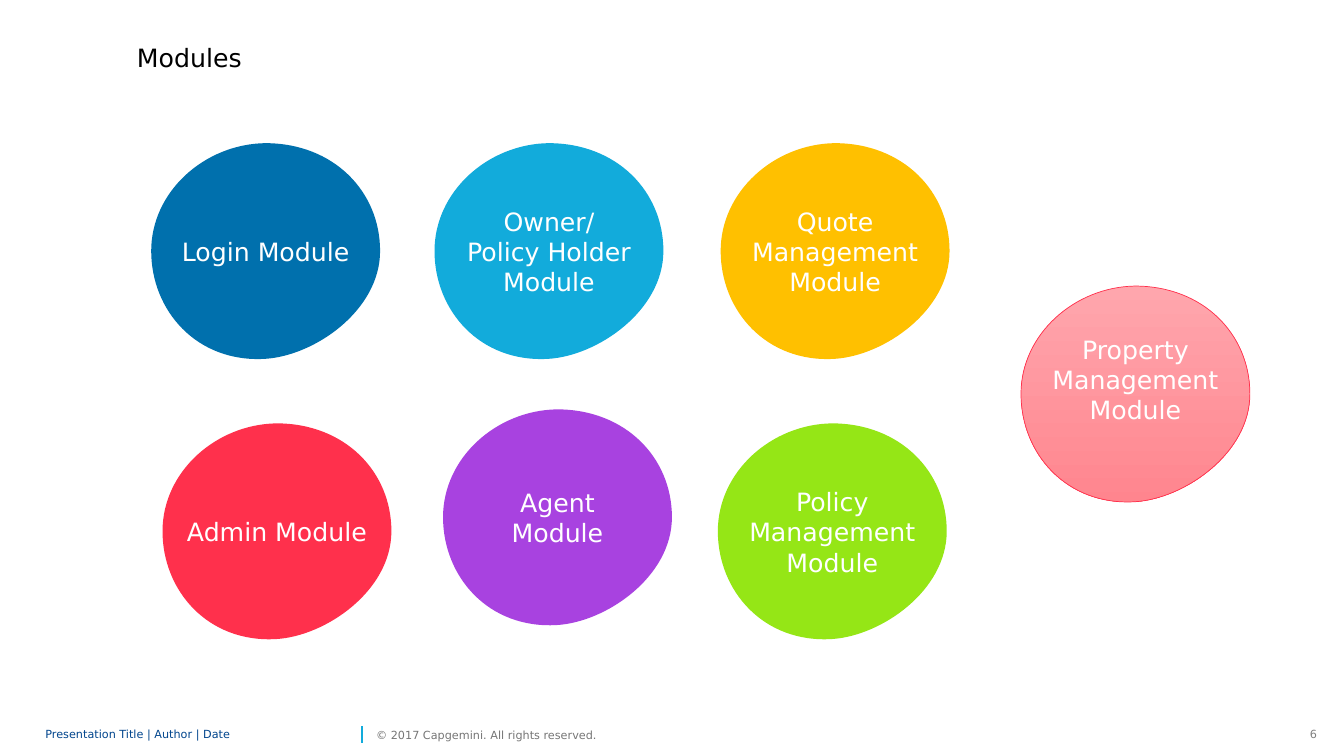
import dataclasses

import pptx
import pptx.dml.color
import pptx.enum.shapes
import pptx.enum.text
import pptx.oxml
import pptx.oxml.ns
import pptx.util

ALIGN = pptx.enum.text.PP_ALIGN
ANCHOR = pptx.enum.text.MSO_ANCHOR
Inches = pptx.util.Inches

WIDTH, HEIGHT = 13.33, 7.5

# The module grid: first corner and the step to the next column and row
GRID_LEFT, GRID_TOP = 1.5, 1.42
COLUMN, ROW = 2.81, 2.78

# Start of the blob outline, then three control points for each curve
BLOB_START = (0, 1.07)
BLOB_CURVES = [
    (0, 0.48), (0.53, 0.01), (1.13, 0),
    (1.81, 0), (2.27, 0.48), (2.27, 1.07),
    (2.27, 1.66), (1.62, 2.11), (1.13, 2.14),
    (0.45, 2.18), (0, 1.66), (0, 1.07),
]


@dataclasses.dataclass(frozen=True)
class Theme:
    font: str = "DejaVu Sans"
    body_size: int = 18
    footer_size: int = 8
    title: str = "000000"
    label: str = "FFFFFF"
    footer: str = "00458D"
    copyright: str = "767676"
    number: str = "808080"
    divider: str = "12ABDB"
    property_fill: tuple = ("FFA6AD", "FF858E")
    property_line: str = "FF304C"


THEME = Theme()

# Column, row, fill colour, text
MODULES = [
    (0, 0, "0070AD", "Login Module"),
    (1, 0, "12ABDB", "Owner/\nPolicy Holder Module"),
    (2.01, 0, "FFC000", "Quote Management Module"),
    (0.04, 1, "FF304C", "Admin Module"),
    (1.03, 0.95, "A842E0", "Agent\nModule"),
    (2, 1, "95E616", "Policy\nManagement Module"),
]


def rgb(value):
    return pptx.dml.color.RGBColor.from_string(value)


def across(percent):
    return Inches(WIDTH * percent / 100)


def down(percent):
    return Inches(HEIGHT * percent / 100)


def write_text(frame, text, *, size, color, align=ALIGN.LEFT, anchor=ANCHOR.TOP,
               wrap=True, spacing=None, insets=(0.1, 0.05, 0.1, 0.05)):
    """Fill a text frame, one paragraph per line; insets run left, top, right, bottom."""
    frame.word_wrap = wrap
    frame.vertical_anchor = anchor
    (frame.margin_left, frame.margin_top,
     frame.margin_right, frame.margin_bottom) = map(Inches, insets)
    frame.text = text
    for para in frame.paragraphs:
        para.alignment = align
        para.line_spacing = spacing
        for span in para.runs:
            span.font.name = THEME.font
            span.font.size = pptx.util.Pt(size)
            span.font.color.rgb = rgb(color)


def add_label(page, text, left, top, width, height, **text_format):
    """Add a text box placed in percent of the slide's size."""
    box = page.shapes.add_textbox(across(left), down(top), across(width), down(height))
    write_text(box.text_frame, text, **text_format)


def add_divider(page, left, top, bottom):
    line = page.shapes.add_connector(
        pptx.enum.shapes.MSO_CONNECTOR.STRAIGHT,
        across(left), down(bottom), across(left), down(top))
    line.line.color.rgb = rgb(THEME.divider)
    line.line.width = pptx.util.Pt(1)
    pptx.oxml.ns.qn("a:effectLst")
    effects = pptx.oxml.parse_xml(
        '<a:effectLst xmlns:a="http://schemas.openxmlformats.org/drawingml/2006/main"/>')
    line._element.spPr.append(effects)


def bend_outline(shape):
    """Turn each run of three straight segments into one cubic curve."""
    qn = pptx.oxml.ns.qn
    outline = next(shape._element.iter(qn("a:path")))
    segments = outline.findall(qn("a:lnTo"))
    for first, second, third in zip(*[iter(segments)] * 3):
        first.tag = qn("a:cubicBezTo")
        for segment in (second, third):
            first.append(segment[0])
            outline.remove(segment)


def add_blob(page, column, row, text, bottom_inset=0.08):
    left, top = GRID_LEFT + column * COLUMN, GRID_TOP + row * ROW
    builder = page.shapes.build_freeform(
        Inches(left + BLOB_START[0]), Inches(top + BLOB_START[1]))
    builder.add_line_segments(
        [(Inches(left + x), Inches(top + y)) for x, y in BLOB_CURVES], close=True)
    blob = builder.convert_to_shape()
    bend_outline(blob)
    blob.shadow.inherit = False
    write_text(blob.text_frame, text, size=THEME.body_size, color=THEME.label,
               align=ALIGN.CENTER, anchor=ANCHOR.MIDDLE,
               insets=(0.1, 0.05, 0.1, bottom_inset))
    return blob


def add_module(page, column, row, color, text):
    blob = add_blob(page, column, row, text)
    blob.fill.solid()
    blob.fill.fore_color.rgb = rgb(color)
    blob.line.fill.background()


def add_property_module(page):
    blob = add_blob(page, 3.07, 0.51, "Property Management\nModule", bottom_inset=0.38)
    blob.fill.gradient()
    blob.fill.gradient_angle = 270
    for stop, color in zip(blob.fill.gradient_stops, THEME.property_fill):
        stop.color.rgb = rgb(color)
    blob.line.color.rgb = rgb(THEME.property_line)
    blob.line.width = pptx.util.Pt(0.5)


def add_footer(page):
    flush = {"size": THEME.footer_size, "anchor": ANCHOR.MIDDLE, "insets": (0, 0, 0, 0)}
    add_label(page, "Presentation Title | Author | Date", 3.38, 95.6, 23.18, 3.2,
              color=THEME.footer, spacing=0.85, **flush)
    add_divider(page, 26.93, 96, 98.27)
    add_label(page, "© 2017 Capgemini. All rights reserved.", 27.98, 95.6, 18.23, 3.2,
              color=THEME.copyright, wrap=False, **flush)
    add_label(page, "6", 96.7, 95.6, 2.03, 3.2, size=THEME.footer_size,
              color=THEME.number, align=ALIGN.RIGHT, wrap=False)


def main():
    deck = pptx.Presentation()
    deck.slide_width, deck.slide_height = Inches(WIDTH), Inches(HEIGHT)
    page = deck.slides.add_slide(deck.slide_layouts[6])
    add_label(page, "Modules", 9.45, 4.93, 47.04, 5.33,
              size=THEME.body_size, color=THEME.title)
    for column, row, color, text in MODULES:
        add_module(page, column, row, color, text)
    add_property_module(page)
    add_footer(page)
    deck.save("out.pptx")


if __name__ == "__main__":
    main()
